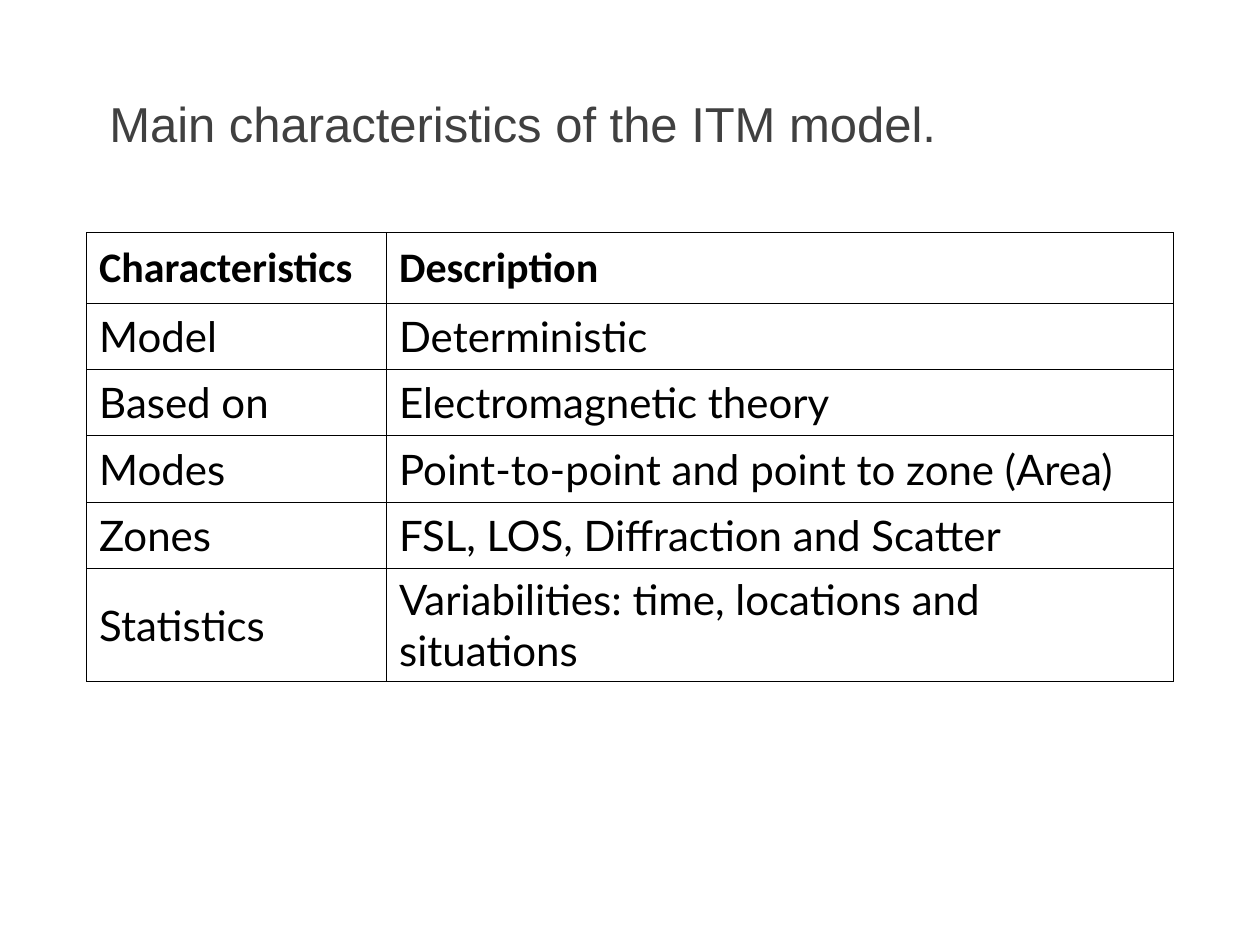
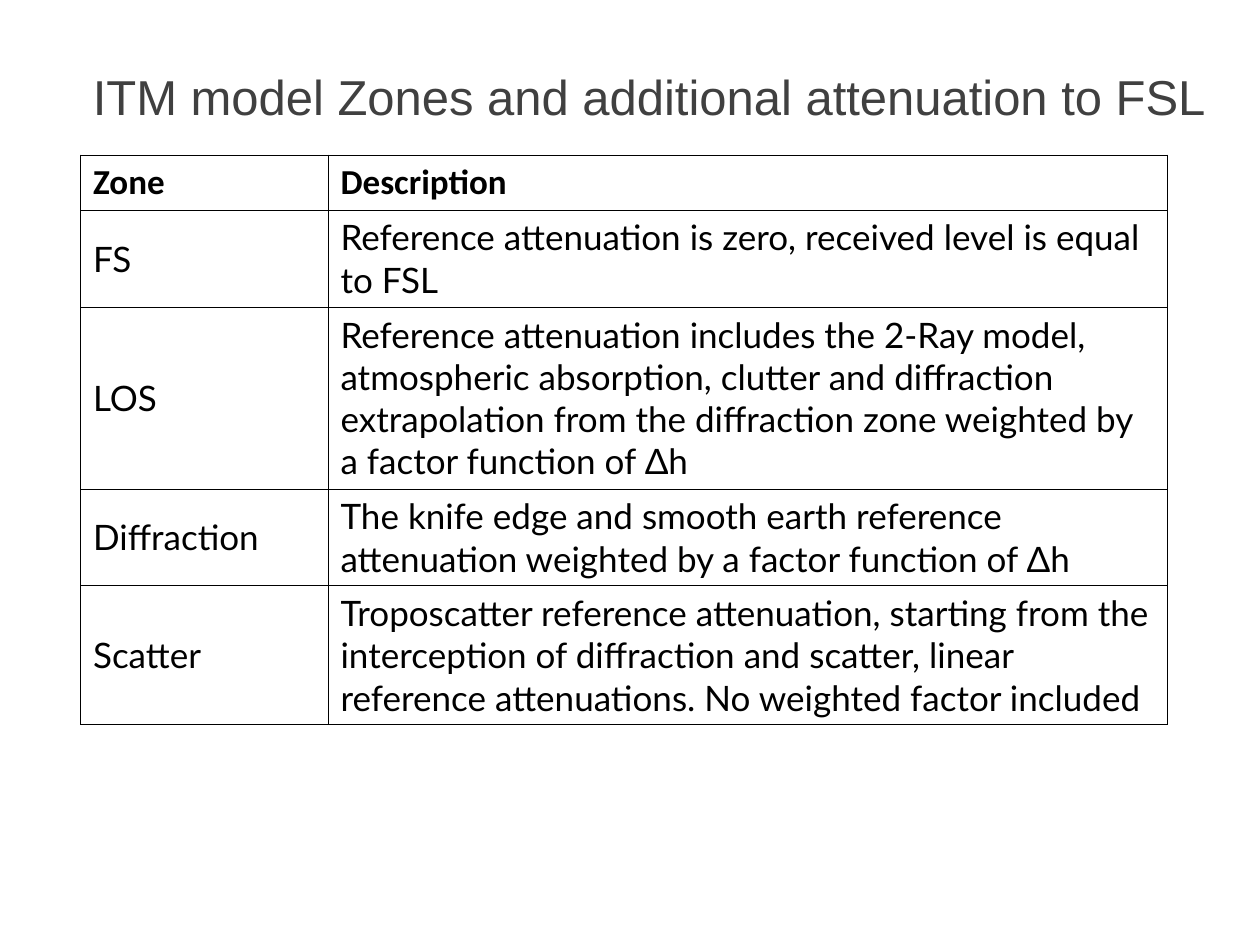
from lxml.etree import SubElement
from pptx import Presentation
from pptx.dml.color import RGBColor
from pptx.enum.text import MSO_ANCHOR
from pptx.oxml.ns import qn
from pptx.util import Pt

COLOURS = {"title": "404040", "body": "000000", "border": "000000"}
BORDER_WIDTH = Pt(0.48)
TABLE_WIDTH = 620.8

FORMATS = {
    "title": {"name": "Arial", "size": Pt(28), "bold": False},
    "heading": {"name": "Calibri", "bold": True},
    "entry": {"name": "Lato", "bold": False},
}


class Deck:
    """Holds the shared style and the slide being built."""

    def __init__(self):
        self.presentation = Presentation()
        self.presentation.slide_width = Pt(720)
        self.presentation.slide_height = Pt(540)
        self.slide = None

    def new_slide(self):
        blank = self.presentation.slide_layouts[6]
        self.slide = self.presentation.slides.add_slide(blank)

    def add_text(self, frame, text, colour, font_format):
        run = frame.paragraphs[0].add_run()
        run.text = text
        for attribute, value in font_format.items():
            setattr(run.font, attribute, value)
        run.font.color.rgb = RGBColor.from_string(COLOURS[colour])

    def title(self, text, left, top, width, height):
        box = self.slide.shapes.add_textbox(Pt(left), Pt(top), Pt(width), Pt(height))
        box.text_frame.word_wrap = True
        self.add_text(box.text_frame, text, "title", FORMATS["title"])

    def border(self, cell):
        properties = cell._tc.get_or_add_tcPr()
        for side in ("a:lnL", "a:lnR", "a:lnT", "a:lnB"):
            line = SubElement(properties, qn(side), w=str(int(BORDER_WIDTH)))
            fill = SubElement(line, qn("a:solidFill"))
            SubElement(fill, qn("a:srgbClr"), val=COLOURS["border"])

    def table(self, entries, left, top, first_width, row_heights, size):
        table = self.slide.shapes.add_table(
            len(entries), 2, Pt(left), Pt(top), Pt(TABLE_WIDTH), Pt(sum(row_heights))
        ).table
        table.first_row = table.horz_banding = False

        for column, width in zip(table.columns, (first_width, TABLE_WIDTH - first_width)):
            column.width = Pt(width)
        for row, height in zip(table.rows, row_heights):
            row.height = Pt(height)

        for row_index, texts in enumerate(entries):
            style = FORMATS["entry" if row_index else "heading"]
            for column_index, text in enumerate(texts):
                cell = table.cell(row_index, column_index)
                cell.vertical_anchor = MSO_ANCHOR.MIDDLE
                self.border(cell)
                cell.fill.background()
                self.add_text(cell.text_frame, text, "body", {**style, "size": Pt(size)})


CHARACTERISTICS = [
    ("Characteristics", "Description"),
    ("Model", "Deterministic"),
    ("Based on", "Electromagnetic theory"),
    ("Modes", "Point-to-point and point to zone (Area)"),
    ("Zones", "FSL, LOS, Diffraction and Scatter"),
    ("Statistics", "Variabilities: time, locations and situations"),
]

ZONES = [
    ("Zone", "Description"),
    ("FS", "Reference attenuation is zero, received level is equal to FSL"),
    ("LOS", "Reference attenuation includes the 2-Ray model, atmospheric absorption, "
            "clutter and diffraction extrapolation from the diffraction zone weighted "
            "by a factor function of Δh"),
    ("Diffraction", "The knife edge and smooth earth reference attenuation weighted "
                    "by a factor function of Δh"),
    ("Scatter", "Troposcatter reference attenuation, starting from the interception "
                "of diffraction and scatter, linear reference attenuations. "
                "No weighted factor included"),
]


def main():
    deck = Deck()

    # Main characteristics
    deck.new_slide()
    deck.title("Main characteristics of the ITM model.", 55.4, 49.7, 610.6, 82.8)
    deck.table(CHARACTERISTICS, 49.5, 133, 171.4, [40.5] + [37.8] * 4 + [64.5], 24)

    # Zones and attenuation
    deck.new_slide()
    deck.table(ZONES, 46, 88.6, 141.4, [31.4, 55.4, 104, 55.4, 79.4], 20)
    deck.title("ITM model Zones and additional attenuation to FSL", 46, 34.5, 654.5, 80)

    deck.presentation.save("out.pptx")


if __name__ == "__main__":
    main()
